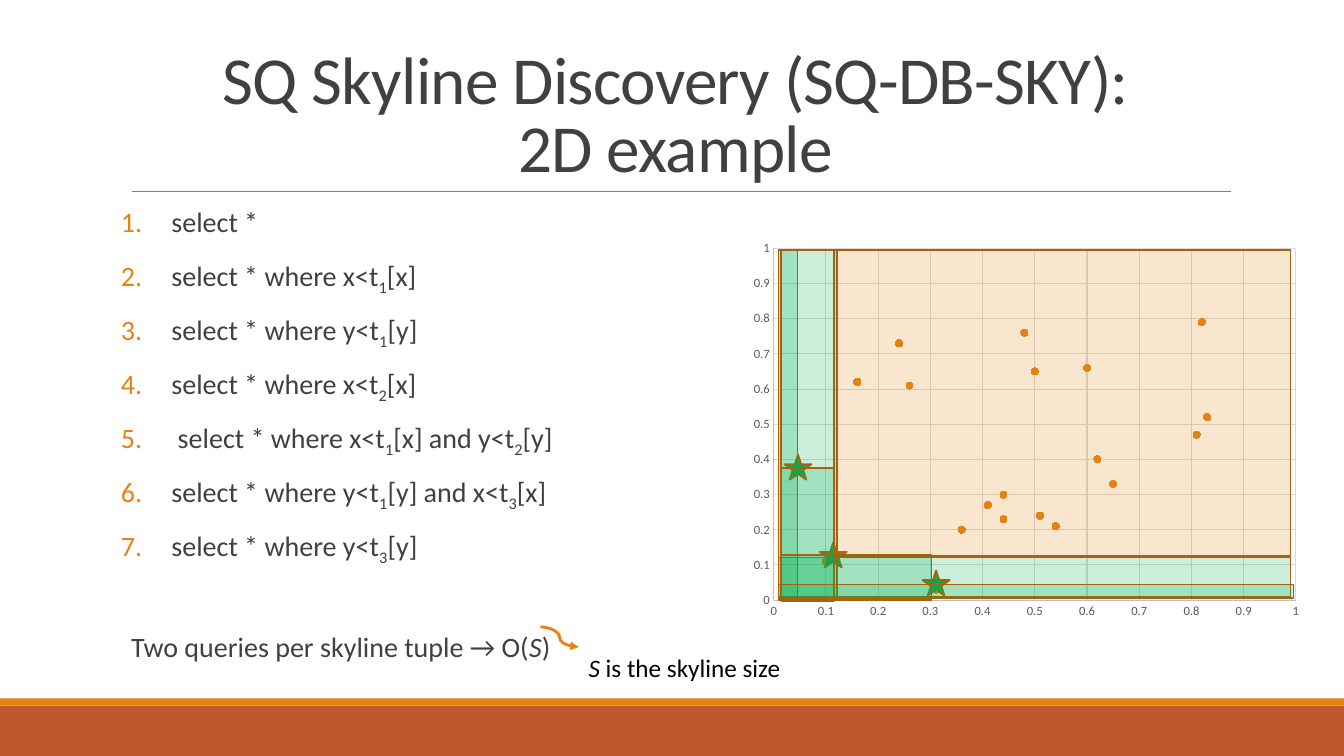
from dataclasses import dataclass

from lxml import etree
from pptx import Presentation
from pptx import util as u
from pptx.chart.data import XyChartData
from pptx.dml.color import RGBColor
from pptx.enum import chart as charts, shapes, text as texts
from pptx.oxml import parse_xml
from pptx.oxml.ns import nsdecls, qn


@dataclass(frozen=True)
class Theme:
    font: str = "Calibri"
    orange: str = "E48312"
    rust: str = "BD582C"
    brown: str = "A9610D"
    green: str = "00B050"
    ink: str = "404040"
    black: str = "000000"
    label: str = "595959"
    rule: str = "808080"
    axis: str = "BFBFBF"
    grid: str = "D9D9D9"
    head: float = 48
    body: float = 20
    note: float = 18
    tick: float = 9


def put(par, text, size, color, font, odd=None, space=None):
    """Write text into a paragraph; parts between ~ marks are subscript or italic, as odd says."""
    for i, part in enumerate(text.split("~")):
        if not part:
            continue
        if "\v" in part:
            par.text = part
            run = par.runs
        else:
            run = [par.add_run()]
            run[0].text = part
        for r in run:
            r.font.size, r.font.name = u.Pt(size), font
            r.font.color.rgb = RGBColor.from_string(color)
            if space is not None:
                r.font._element.set("spc", str(int(space * 100)))
            if i % 2 and odd == "italic":
                r.font.italic = True
            elif i % 2 and odd == "sub":
                r.font._element.set("baseline", "-25000")


class Page:
    def __init__(self, deck, theme):
        self.theme = theme
        self.slide = deck.slides.add_slide(deck.slide_layouts[1])
        self.shapes = self.slide.shapes

    def paint(self, fill, color, alpha=None):
        fill.solid()
        fill.fore_color.rgb = RGBColor.from_string(color)
        if alpha:
            tone = fill._xPr.find(qn("a:solidFill"))[0]
            etree.SubElement(tone, qn("a:alpha")).set("val", str(alpha * 1000))

    def stroke(self, line, color, width):
        self.paint(line.fill, color)
        line.width = u.Pt(width)

    def shape(self, kind, box, fill, alpha=None, edge=None):
        item = self.shapes.add_shape(kind, *map(u.Inches, box))
        item.shadow.inherit = False
        self.paint(item.fill, fill, alpha)
        if edge:
            self.stroke(item.line, edge, 1.25)
        else:
            item.line.fill.background()

    def line(self, kind, ends, color, width, arrow=False):
        item = self.shapes.add_connector(kind, *map(u.Inches, ends))
        self.stroke(item.line, color, width)
        props = item._element.spPr
        if arrow:
            etree.SubElement(props.find(qn("a:ln")), qn("a:tailEnd")).set("type", "triangle")
        etree.SubElement(props, qn("a:effectLst"))

    def place(self, item, box):
        item.left, item.top, item.width, item.height = map(u.Inches, box)
        item.text_frame.auto_size = texts.MSO_AUTO_SIZE.NONE
        item.text_frame.word_wrap = True
        return item.text_frame

    def title(self, text, box):
        t = self.theme
        frame = self.place(self.shapes.title, box)
        frame.vertical_anchor = texts.MSO_ANCHOR.BOTTOM
        par = frame.paragraphs[0]
        par.alignment, par.line_spacing = texts.PP_ALIGN.CENTER, 0.85
        put(par, text, t.head, t.ink, t.font, space=-0.5)

    def steps(self, items, closing, box):
        """Fill the body with numbered queries and a closing line below them."""
        t = self.theme
        frame = self.place(self.slide.placeholders[1], box)
        frame.margin_left = frame.margin_right = 0
        frame.vertical_anchor = texts.MSO_ANCHOR.TOP
        for i, text in enumerate(items + [closing]):
            last = i == len(items)
            par = frame.add_paragraph() if i else frame.paragraphs[0]
            par.alignment, par.line_spacing = texts.PP_ALIGN.LEFT, 0.9
            par.space_before, par.space_after = u.Pt(48 if last else 12), u.Pt(2)
            props = par._p.get_or_add_pPr()
            props.set("marL", str(u.Inches(0.1 if last else 0.5)))
            props.set("indent", str(0 if last else u.Inches(-0.5)))
            if last:
                etree.SubElement(props, qn("a:buNone"))
            else:
                tone = etree.SubElement(props, qn("a:buClr"))
                etree.SubElement(tone, qn("a:srgbClr")).set("val", t.orange)
                etree.SubElement(props, qn("a:buFont")).set("typeface", "+mj-lt")
                etree.SubElement(props, qn("a:buAutoNum")).set("type", "arabicPeriod")
            put(par, text, t.body, t.ink, t.font, odd="italic" if last else "sub")

    def note(self, text, box):
        t = self.theme
        frame = self.shapes.add_textbox(*map(u.Inches, box)).text_frame
        frame.word_wrap = False
        put(frame.paragraphs[0], text, t.note, t.black, t.font, odd="italic")

    def scatter(self, points, box):
        t = self.theme
        data = XyChartData()
        tuples = data.add_series("Series 1")
        for x, y in points:
            tuples.add_data_point(x, y)
        chart = self.shapes.add_chart(charts.XL_CHART_TYPE.XY_SCATTER,
                                      *map(u.Inches, box), data).chart
        chart.has_legend = chart.has_title = False
        chart.font.name, chart.font.size = t.font, u.Pt(t.tick)
        chart.font.color.rgb = RGBColor.from_string(t.label)
        plot = chart.plots[0]
        plot.vary_by_categories = False
        series = plot.series[0]
        series.smooth = False
        series.format.line.fill.background()
        series.marker.style, series.marker.size = charts.XL_MARKER_STYLE.CIRCLE, 5
        self.paint(series.marker.format.fill, t.orange)
        self.stroke(series.marker.format.line, t.orange, 0.75)
        for axis in (chart.category_axis, chart.value_axis):
            axis.minimum_scale, axis.maximum_scale, axis.major_unit = 0, 1, 0.1
            axis.major_tick_mark = axis.minor_tick_mark = charts.XL_TICK_MARK.NONE
            axis.tick_labels.number_format = "General"
            axis.tick_labels.number_format_is_linked = False
            axis.has_major_gridlines = True
            self.stroke(axis.format.line, t.axis, 0.75)
            self.stroke(axis.major_gridlines.format.line, t.grid, 0.75)
        area = chart._chartSpace.chart.plotArea
        for old in area.findall(qn("c:layout")):
            area.remove(old)
        sides = "".join(f'<c:{k} val="{v}"/>' for k, v in
                        (("x", 0.054), ("y", 0.037), ("w", 0.92), ("h", 0.895)))
        area.insert(0, parse_xml(
            f'<c:layout {nsdecls("c")}><c:manualLayout><c:layoutTarget val="inner"/>'
            f'<c:xMode val="edge"/><c:yMode val="edge"/>{sides}</c:manualLayout></c:layout>'))


QUERIES = [
    "select *",
    "select * where x<t~1~[x]",
    "select * where y<t~1~[y]",
    "select * where x<t~2~[x]",
    " select * where x<t~1~[x] and y<t~2~[y]",
    "select * where y<t~1~[y] and x<t~3~[x]",
    "select * where y<t~3~[y]",
]
TUPLES = [(0.31, 0.03), (0.16, 0.62), (0.44, 0.23), (0.26, 0.61), (0.54, 0.21),
          (0.81, 0.47), (0.82, 0.79), (0.48, 0.76), (0.36, 0.2), (0.51, 0.24),
          (0.04, 0.36), (0.65, 0.33), (0.5, 0.65), (0.1, 0.11), (0.83, 0.52),
          (0.41, 0.27), (0.6, 0.66), (0.24, 0.73), (0.62, 0.4), (0.44, 0.3)]


def main():
    deck = Presentation()
    deck.slide_width, deck.slide_height = u.Inches(13.33), u.Inches(7.5)
    t = Theme()
    page = Page(deck, t)
    rect, star = shapes.MSO_SHAPE.RECTANGLE, shapes.MSO_SHAPE.STAR_5_POINT

    page.shape(rect, (0, 7, 13.33, 0.5), t.rust)
    page.shape(rect, (0, 6.93, 13.33, 0.07), t.orange)
    page.line(shapes.MSO_CONNECTOR.STRAIGHT, (1.31, 1.9, 12.21, 1.9), t.rule, 0.5)
    page.title("SQ Skyline Discovery (SQ-DB-SKY):\v2D example", (1.2, 0.31, 11, 1.59))
    page.steps(QUERIES, "Two queries per skyline tuple → O(~S~)", (1.2, 2.02, 5.75, 4.4))
    page.scatter(TUPLES, (7.37, 2.32, 5.63, 3.9))

    regions = [
        (star, 8.13, 5.38), (rect, 8.27, 2.48, 4.53, 3.04), (rect, 7.72, 2.48, 0.58, 3.47),
        (star, 7.78, 4.51), (rect, 7.72, 5.53, 5.08, 0.39), (star, 9.15, 5.66),
        (rect, 7.75, 2.48, 0.16, 3.47), (rect, 7.75, 4.64, 0.52, 1.32),
        (rect, 7.75, 5.51, 1.49, 0.44), (rect, 7.72, 5.8, 5.11, 0.13),
    ]
    for i, (kind, x, y, *size) in enumerate(regions):
        page.shape(kind, (x, y, *(size or (0.27, 0.25))), t.orange if i == 1 else t.green,
                   alpha=20 if size else None, edge=t.brown)

    page.line(shapes.MSO_CONNECTOR.CURVE, (5.36, 6.22, 5.74, 6.42), t.orange, 2, arrow=True)
    page.note("~S~ is the skyline size", (5.74, 6.42, 2.13, 0.4))
    deck.save("out.pptx")


if __name__ == "__main__":
    main()
